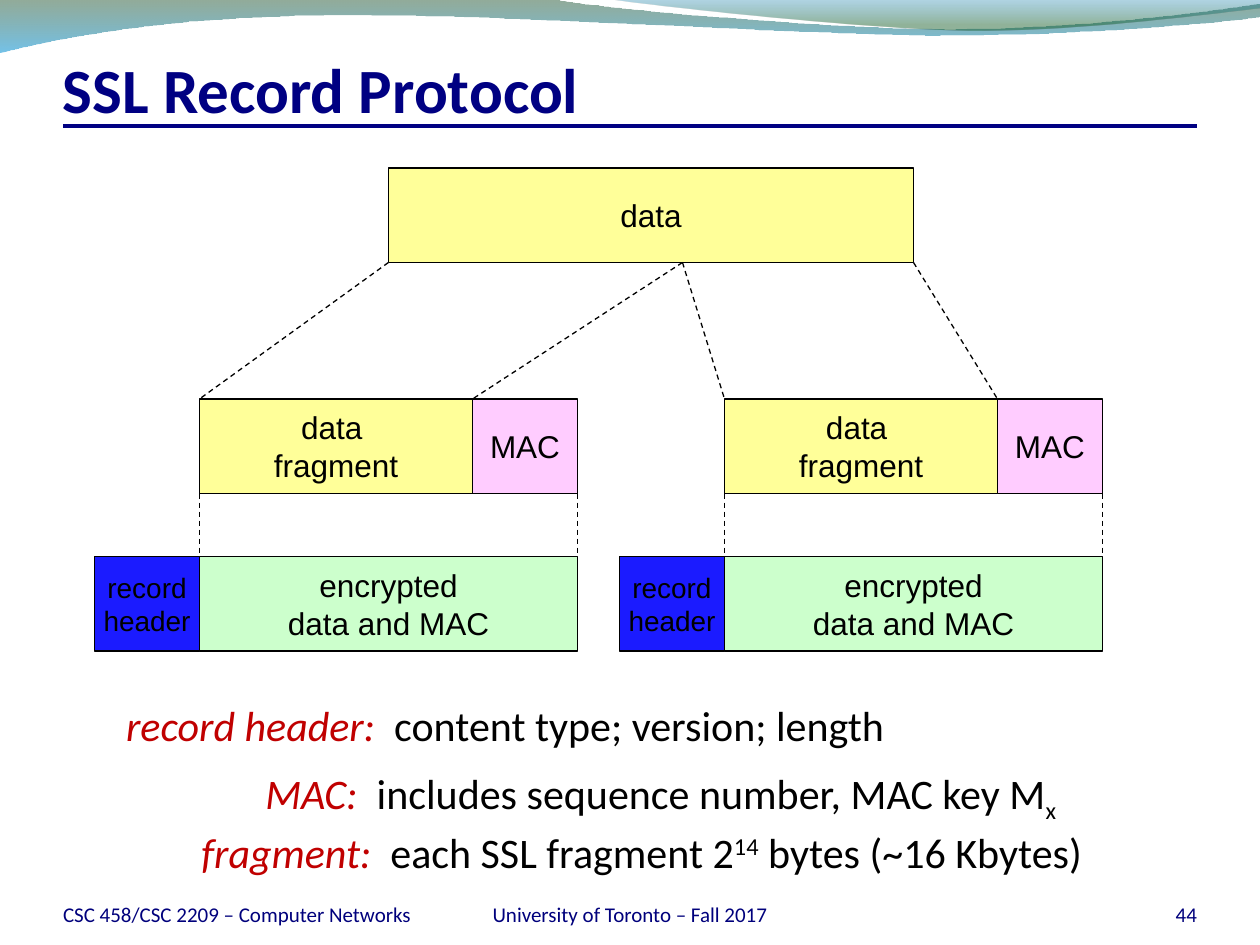
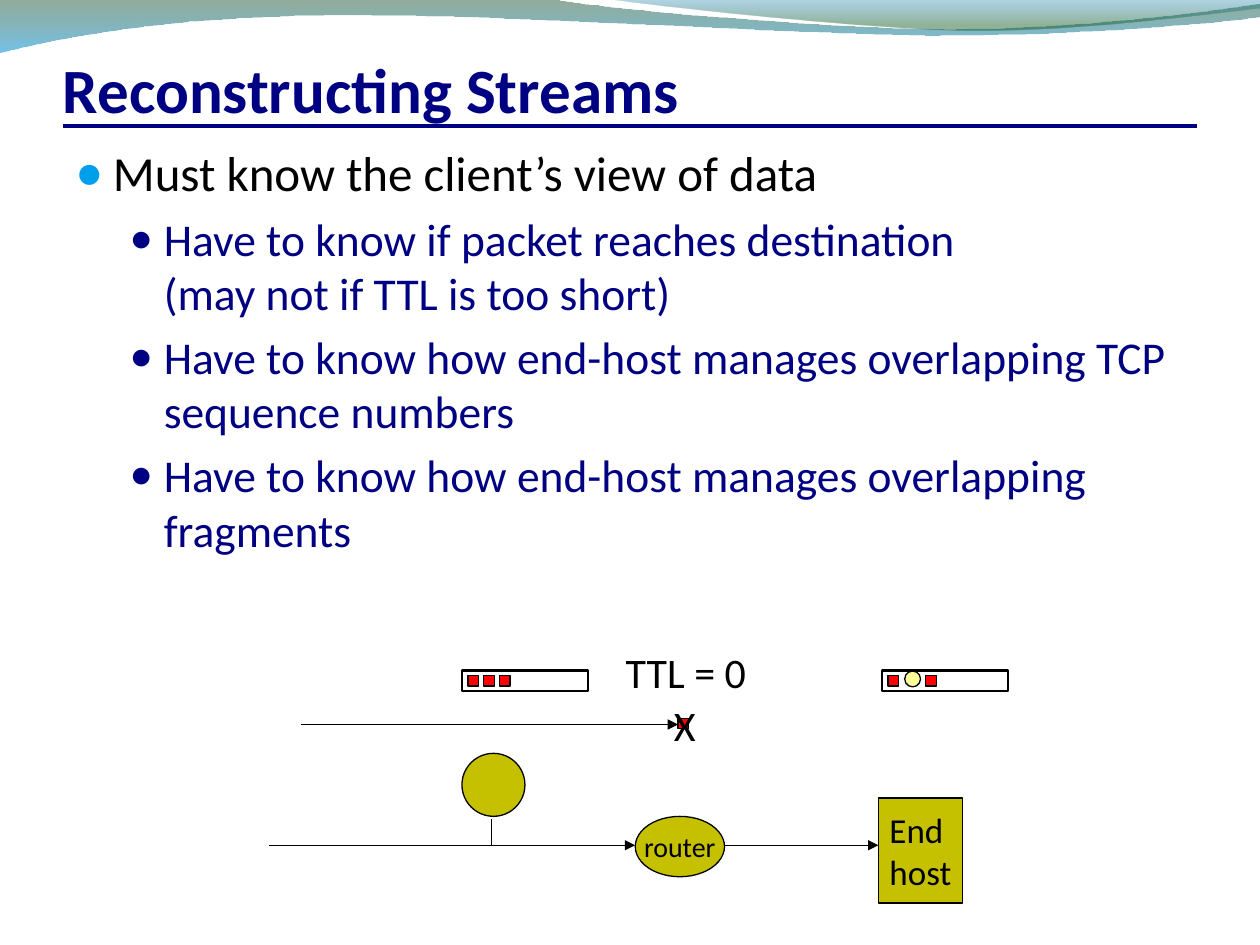
"""Build two network security slides: SSL records and stream rebuilding."""
from lxml.etree import SubElement
from pptx import Presentation
from pptx.dml.color import RGBColor
from pptx.enum.dml import MSO_LINE
from pptx.enum.shapes import MSO_CONNECTOR as Link, MSO_SHAPE as Form
from pptx.enum.text import MSO_ANCHOR as Anchor, MSO_AUTO_SIZE as Fit, PP_ALIGN as Align
from pptx.oxml.ns import qn
from pptx.util import Emu, Pt

SCALE = 914400 / 144
WIDE, HIGH = 1440, 1080
NAVY, FOOT, BLACK, WHITE, RED = "000082", "00007C", "000000", "FFFFFF", "C00000"
CREAM, PINK, MINT, BLUE = "FFFF99", "FFCCFF", "CCFFCC", "1B1BFF"
OLIVE, BRIGHT, SKY = "C5C000", "FF0000", "009FEC"

WAVES = [
    ([[(0, -1)], [(634, -1)],
      [(685, 9), (956, 33), (1092, 33)], [(1228, 33), (1380, 13), (1440, 4)],
      [(1441, 19)], [(1416, 23), (1253, 40), (1074, 40)],
      [(893, 39), (550, 14), (370, 17)], [(186, 19), (66, 43), (-1, 60)]],
     [(0, "0F461E", 45), (1, "0090D6", 55)]),
    ([[(690, -1)], [(733, 6), (982, 33), (1107, 35)],
      [(1233, 36), (1384, 16), (1440, 10)], [(1440, -1)]],
     [(0, "0076AF", 30), (0.8, "0D5821", 45)]),
]
FOOTERS = [
    ((72, 1001, 408, 58), "CSC 458/CSC 2209 – Computer Networks", Align.LEFT),
    ((1248, 1001, 120, 58), "44", Align.RIGHT),
    ((492, 1001, 456, 58), "University of Toronto – Fall 2017", Align.CENTER),
]

LEFTS = (108, 708)
TOP, MID, LOW, TALL = 192, 456, 636, 108
DATA = (444, 600)
SPLIT = 780
PARTS = [
    (120, MID, 312, "data \nfragment", CREAM, 18),
    (432, MID, 120, "MAC", PINK, 18),
    (120, LOW, 432, "encrypted\ndata and MAC", MINT, 18),
    (0, LOW, 120, "record\nheader", BLUE, 16),
]
NOTES = [
    ((130, 792, 896, 73), "record header:", [("content type; version; length", 0)]),
    ((289, 870, 933, 73), "MAC:",
     [("includes sequence number, MAC key M", 0), ("x", -25)]),
    ((216, 937, 1035, 73), "fragment:",
     [("each SSL fragment 2", 0), ("14", 30), (" bytes (~16 Kbytes)", 0)]),
]

POINTS = [
    (0, "Must know the client’s view of data"),
    (1, "Have to know if packet reaches destination\n(may not if TTL is too short)"),
    (1, "Have to know how end-host manages overlapping TCP sequence numbers"),
    (1, "Have to know how end-host manages overlapping fragments"),
]
LEVELS = [(43, 43, 28, BLACK, SKY, 95), (101, 39, 26, NAVY, NAVY, 85)]
WIRES = [
    ((308, 966), (726, 966), True),
    ((562, 936), (562, 966), False),
    ((828, 966), (1004, 966), True),
    ((344, 828), (775, 828), True),
]
NODES = [
    (Form.OVAL, (528, 861, 72, 72), "", 16),
    (Form.RECTANGLE, (1004, 912, 96, 120), "End \nhost", 20),
    (Form.OVAL, (726, 933, 102, 69), "router", 16),
]
TRAYS = [(528, (7, 25, 43)), (1008, (7, 50))]
LABELS = [((756, 792, 55, 72), "X"), ((701, 732, 172, 72), "TTL = 0")]


def px(num):
    return Emu(round(num * SCALE))


def tint(code):
    return RGBColor.from_string(code)


def run(para, words, size, color, face="Calibri", bold=False, slant=False,
        base=0, space=0):
    for i, part in enumerate(words.split("\n")):
        if i:
            para.add_line_break()
        bit = para.add_run()
        bit.text = part
        font = bit.font
        font.size, font.name, font.bold, font.italic = Pt(size), face, bold, slant
        font.color.rgb = tint(color)
        props = bit._r.get_or_add_rPr()
        if base:
            props.set("baseline", str(base * 1000))
        if space:
            props.set("spc", str(space))


def box(slide, place, wrap=True, anchor=Anchor.TOP, inset=None):
    frame = slide.shapes.add_textbox(*map(px, place)).text_frame
    frame.word_wrap = wrap
    frame.auto_size = Fit.NONE if wrap else Fit.SHAPE_TO_FIT_TEXT
    frame.vertical_anchor = anchor
    if inset:
        (frame.margin_left, frame.margin_top,
         frame.margin_right, frame.margin_bottom) = map(px, inset)
    return frame


def block(slide, form, place, fill=None, line=0.75):
    shape = slide.shapes.add_shape(form, *map(px, place))
    shape.shadow.inherit = False
    if fill:
        shape.fill.solid()
        shape.fill.fore_color.rgb = tint(fill)
    else:
        shape.fill.background()
    if line:
        shape.line.color.rgb = tint(BLACK)
        shape.line.width = Pt(line)
    else:
        shape.line.fill.background()
    return shape


def label(shape, words, size, face):
    frame = shape.text_frame
    frame.word_wrap = False
    frame.vertical_anchor = Anchor.MIDDLE
    for i, part in enumerate(words.split("\n")):
        para = frame.add_paragraph() if i else frame.paragraphs[0]
        para.alignment = Align.CENTER
        run(para, part, size, BLACK, face)


def wire(slide, start, end, color=BLACK, width=0.75, dash=False, arrow=False):
    link = slide.shapes.add_connector(Link.STRAIGHT, *map(px, start + end))
    link.line.color.rgb = tint(color)
    link.line.width = Pt(width)
    if dash:
        link.line.dash_style = MSO_LINE.DASH
    props = link._element.spPr
    if arrow:
        SubElement(props.find(qn("a:ln")), qn("a:tailEnd"), type="triangle")
    SubElement(props, qn("a:effectLst"))
    return link


def wave(slide, knots, stops):
    ends = [(px(x), px(y)) for x, y in (knot[-1] for knot in knots)]
    draft = slide.shapes.build_freeform(*ends[0], scale=1.0)
    draft.add_line_segments(ends[1:], close=True)
    shape = draft.convert_to_shape()
    props = shape._element.spPr
    for leg, knot in zip(list(props.iter(qn("a:lnTo"))), knots[1:]):
        if len(knot) == 3:
            leg.tag = qn("a:cubicBezTo")
            leg.remove(leg[0])
            for x, y in knot:
                SubElement(leg, qn("a:pt"), x=str(px(x) - shape.left),
                           y=str(px(y) - shape.top))
    shape.shadow.inherit = False
    shape.line.fill.background()
    shape.fill.gradient()
    shape.fill.gradient_angle = 270
    for stop, (spot, color, _) in zip(shape.fill.gradient_stops, stops):
        stop.position = spot
        stop.color.rgb = tint(color)
    for mark, (_, _, alpha) in zip(list(props.iter(qn("a:srgbClr"))), stops):
        SubElement(mark, qn("a:alpha"), val=str(alpha * 1000))
    return shape


def dress(slide):
    parts = [wave(slide, knots, stops) for knots, stops in WAVES]
    parts.append(wire(slide, (72, 144), (1368, 144), NAVY, 2.25))
    tree = slide.slide_layout.shapes._spTree
    for part in parts:
        tree.append(part._element)


def base(deck, title):
    slide = deck.slides.add_slide(deck.slide_layouts[6])
    frame = box(slide, (72, 48, 1296, 96), anchor=Anchor.BOTTOM, inset=(0, 7, 0, 0))
    run(frame.paragraphs[0], title, 36, NAVY, bold=True)
    return slide


def record(deck):
    slide = base(deck, "SSL Record Protocol")
    dress(slide)
    for place, words, align in FOOTERS:
        para = box(slide, place, anchor=Anchor.BOTTOM, inset=(0, 0, 0, 0)).paragraphs[0]
        para.alignment = align
        run(para, words, 12, FOOT)
    left, width = DATA
    whole = block(slide, Form.RECTANGLE, (left, TOP, width, TALL), CREAM)
    label(whole, "data", 18, "Arial")
    spans = [(left, SPLIT), (SPLIT, left + width)]
    for edge, span in zip(LEFTS, spans):
        for shift, top, wide, words, fill, size in PARTS:
            part = block(slide, Form.RECTANGLE, (edge + shift, top, wide, TALL), fill)
            label(part, words, size, "Arial")
        for shift in (120, 552):
            wire(slide, (edge + shift, MID + TALL), (edge + shift, LOW), dash=True)
        for start, shift in zip(span, (120, 432)):
            wire(slide, (start, TOP + TALL), (edge + shift, MID), dash=True)
    for place, term, bits in NOTES:
        para = box(slide, place, wrap=False).paragraphs[0]
        run(para, term, 24, RED, slant=True)
        run(para, " ", 24, RED, slant=True, space=540)
        for words, rise in bits:
            run(para, words, 24, BLACK, base=rise)


def bullet(para, level, words):
    left, hang, size, color, dot, scale = LEVELS[level]
    para.level = level
    para.space_before = Pt(size * 0.2)
    props = para._p.get_or_add_pPr()
    props.set("marL", str(px(left)))
    props.set("indent", str(-px(hang)))
    SubElement(SubElement(props, qn("a:buClr")), qn("a:srgbClr"), val=dot)
    SubElement(props, qn("a:buSzPct"), val=str(scale * 1000))
    SubElement(props, qn("a:buFont"), typeface="Arial")
    SubElement(props, qn("a:buChar"), char="●")
    run(para, words, size, color)


def streams(deck):
    slide = base(deck, "Reconstructing Streams")
    frame = box(slide, (72, 156, 1296, 840))
    for i, (level, words) in enumerate(POINTS):
        para = frame.add_paragraph() if i else frame.paragraphs[0]
        bullet(para, level, words)
    block(slide, Form.RECTANGLE, (0, 972, WIDE, 108), WHITE, line=0)
    for start, end, arrow in WIRES:
        wire(slide, start, end, arrow=arrow)
    for form, place, words, size in NODES:
        node = block(slide, form, place, OLIVE)
        if words:
            label(node, words, size, "Calibri")
    packs = [(775, 821)]
    for left, shifts in TRAYS:
        block(slide, Form.RECTANGLE, (left, 766, 144, 24), line=1.5)
        packs += [(left + shift, 772) for shift in shifts]
    for spot in packs:
        block(slide, Form.RECTANGLE, spot + (12, 12), BRIGHT)
    block(slide, Form.OVAL, (1034, 767, 18, 18), CREAM)
    for place, words in LABELS:
        run(box(slide, place, wrap=False).paragraphs[0], words, 24, BLACK)


def main():
    deck = Presentation()
    deck.slide_width, deck.slide_height = px(WIDE), px(HIGH)
    record(deck)
    streams(deck)
    deck.save("out.pptx")


if __name__ == "__main__":
    main()
